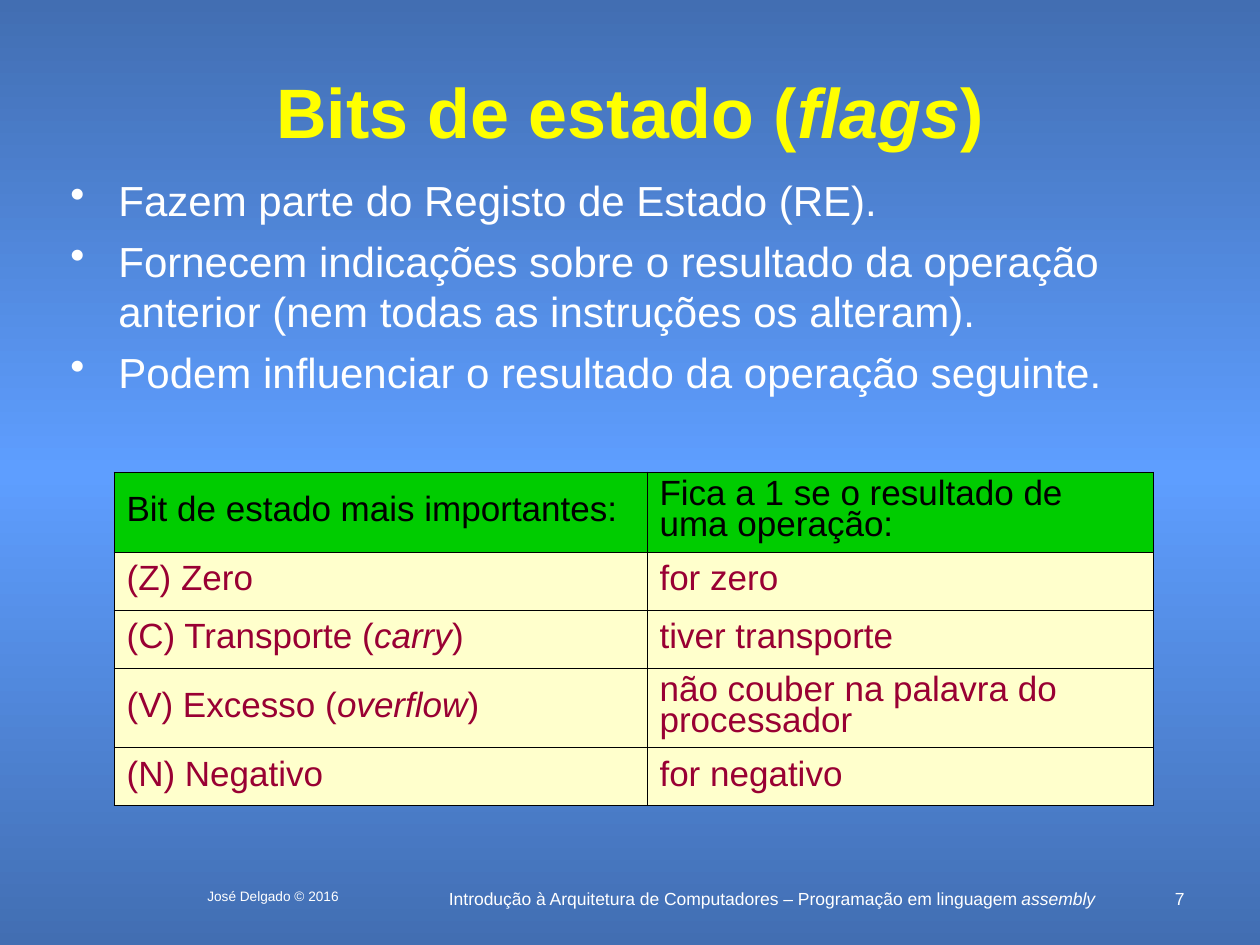
from copy import deepcopy
from dataclasses import dataclass

from pptx import Presentation
from pptx import util as u
from pptx.dml.color import RGBColor
from pptx.enum import text
from pptx.oxml import parse_xml
from pptx.oxml.ns import nsdecls, qn

PX = 914400 / 126


def px(n):
    return u.Emu(round(n * PX))


@dataclass(frozen=True)
class Theme:
    font: str = "Arial"
    edge: str = "426EB2"
    middle: str = "5E9EFF"
    title: str = "FFFF00"
    light: str = "FFFFFF"
    header: str = "000000"
    header_fill: str = "00CC00"
    cell: str = "990033"
    cell_fill: str = "FFFFCC"
    border: str = "000000"
    title_size: float = 40
    body_size: float = 24
    table_size: float = 20
    footer_size: float = 10
    credit_size: float = 7.8


class Deck:
    def __init__(self, theme):
        self.theme = theme
        self.prs = Presentation()
        self.prs.slide_width, self.prs.slide_height = px(1260), px(945)
        self.s = None

    def slide(self):
        self.s = self.prs.slides.add_slide(self.prs.slide_layouts[6])
        fill = self.s.background.fill
        fill.gradient()
        fill.gradient_angle = 270
        stops = next(self.s._element.iter(qn("a:gsLst")))
        stops.append(deepcopy(stops[-1]))
        t = self.theme
        colors = (t.edge, t.middle, t.edge)
        for i, (stop, color) in enumerate(zip(fill.gradient_stops, colors)):
            stop.position = i / 2
            stop.color.rgb = RGBColor.from_string(color)

    def add_runs(self, p, words, size, color, bold=False):
        for i, part in enumerate(words.split("*")):
            if not part:
                continue
            r = p.add_run()
            r.text = part
            style = {"name": self.theme.font, "size": u.Pt(size),
                     "bold": bold, "italic": i % 2 == 1}
            for key, value in style.items():
                setattr(r.font, key, value)
            r.font.color.rgb = RGBColor.from_string(color)

    def frame(self, box, anchor=text.MSO_ANCHOR.TOP):
        tf = self.s.shapes.add_textbox(*map(px, box)).text_frame
        tf.word_wrap = True
        tf.vertical_anchor = anchor
        return tf

    def label(self, box, words, size, color, align=text.PP_ALIGN.CENTER,
              anchor=text.MSO_ANCHOR.TOP, bold=False):
        p = self.frame(box, anchor).paragraphs[0]
        p.alignment = align
        self.add_runs(p, words, size, color, bold)

    def bullets(self, box, items):
        t = self.theme
        tf = self.frame(box)
        for i, item in enumerate(items):
            p = tf.add_paragraph() if i else tf.paragraphs[0]
            pPr = p._p.get_or_add_pPr()
            pPr.set("marL", str(px(48)))
            pPr.set("indent", str(-px(48)))
            pPr.append(parse_xml(
                f'<a:buClr {nsdecls("a")}><a:srgbClr val="{t.light}"/></a:buClr>'))
            pPr.append(parse_xml(f'<a:buChar {nsdecls("a")} char="•"/>'))
            p.space_before = u.Pt(6 if i else 0)
            self.add_runs(p, item, t.body_size, t.light)

    def border(self, cell):
        tcPr = cell._tc.get_or_add_tcPr()
        for i, side in enumerate(("lnL", "lnR", "lnT", "lnB")):
            tcPr.insert(i, parse_xml(
                f'<a:{side} {nsdecls("a")} w="{u.Pt(0.45)}"><a:solidFill>'
                f'<a:srgbClr val="{self.theme.border}"/></a:solidFill></a:{side}>'))

    def table(self, left, top, widths, heights, rows):
        t = self.theme
        box = (left, top, sum(widths), sum(heights))
        tbl = self.s.shapes.add_table(len(rows), len(widths), *map(px, box)).table
        for col, width in zip(tbl.columns, widths):
            col.width = px(width)
        for i, (row, height) in enumerate(zip(rows, heights)):
            tbl.rows[i].height = px(height)
            color, fill = (t.cell, t.cell_fill) if i else (t.header, t.header_fill)
            for j, words in enumerate(row):
                cell = tbl.cell(i, j)
                cell.fill.solid()
                cell.fill.fore_color.rgb = RGBColor.from_string(fill)
                cell.vertical_anchor = text.MSO_ANCHOR.MIDDLE
                cell.margin_left = cell.margin_right = u.Inches(0.1)
                cell.margin_top = cell.margin_bottom = u.Inches(0.05)
                p = cell.text_frame.paragraphs[0]
                p.line_spacing = 0.8
                self.add_runs(p, words, t.table_size, color)
                self.border(cell)


def main():
    t = Theme()
    deck = Deck(t)
    deck.slide()
    deck.label((435, 882, 674, 32), "Introdução à Arquitetura de Computadores – "
               "Programação em linguagem *assembly*", t.footer_size, t.light)
    deck.label((1144, 882, 53, 21), "7", t.footer_size, t.light,
               text.PP_ALIGN.RIGHT)
    deck.label((168, 882, 210, 32), "José Delgado © 2016", t.credit_size, t.light)
    deck.label((84, 63, 1092, 95), "Bits de estado (*flags*)", t.title_size,
               t.title, anchor=text.MSO_ANCHOR.MIDDLE, bold=True)
    deck.bullets((58, 168, 1118, 273), (
        "Fazem parte do Registo de Estado (RE).",
        "Fornecem indicações sobre o resultado da operação anterior "
        "(nem todas as instruções os alteram).",
        "Podem influenciar o resultado da operação seguinte."))
    deck.table(114, 472, (533, 506), (79, 58, 58, 79, 58), (
        ("Bit de estado mais importantes:", "Fica a 1 se o resultado de uma operação:"),
        ("(Z) Zero", "for zero"),
        ("(C) Transporte (*carry*)", "tiver transporte"),
        ("(V) Excesso (*overflow*)", "não couber na palavra do processador"),
        ("(N) Negativo", "for negativo")))
    deck.prs.save("out.pptx")


if __name__ == "__main__":
    main()
